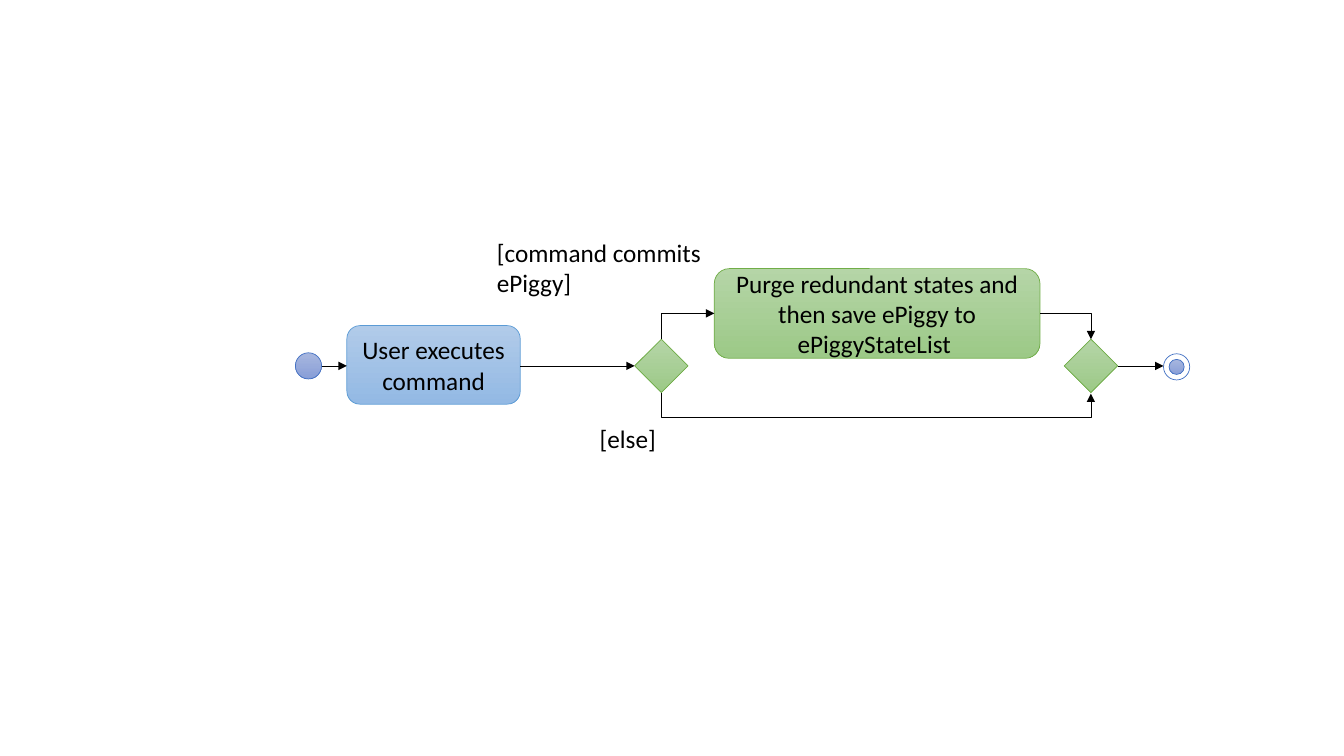
import math

import pptx
import pptx.dml.color
import pptx.enum.shapes
import pptx.enum.text
import pptx.oxml
import pptx.oxml.ns
import pptx.util

COLORS = {
    "text": "000000",
    "arrow": "000000",
    "paper": "FFFFFF",
    "node": ("A8B7DF", "889ED7", "4472C4"),  # top, bottom, outline
    "action": ("B1CBE9", "93B9E4", "5B9BD5"),
    "choice": ("B5D5A7", "9CC987", "70AD47"),
}
SHAPES = pptx.enum.shapes.MSO_SHAPE
CONNECTORS = pptx.enum.shapes.MSO_CONNECTOR
rgb = pptx.dml.color.RGBColor.from_string

presentation = pptx.Presentation()
presentation.slide_width = pptx.util.Inches(13.33)
presentation.slide_height = pptx.util.Inches(7.5)
slide = presentation.slides.add_slide(presentation.slide_layouts[6])

# Grid of square cells, 75 rows to the slide's height
CELL = presentation.slide_height / 75
AXIS = 36.3  # row on which the flow runs
UPPER = 31.1  # row of the upper branch
START, USER, SPLIT, PURGE, MERGE, END = 30.6, 43, 65.6, 87, 108.2, 116.7
DIAMOND, DOT, USER_WIDTH, PURGE_WIDTH = 5.3, 2.6, 17.2, 32.3
BRANCH_DROP = 2.5  # rows from the diamonds down to the [else] line


def write(shape, text, alignment):
    """Put one run of black 18 pt Calibri into a shape."""
    shape.text_frame.word_wrap = True
    paragraph = shape.text_frame.paragraphs[0]
    paragraph.alignment = alignment
    run = paragraph.add_run()
    run.text = text
    run.font.name = "Calibri"
    run.font.size = pptx.util.Pt(18)
    run.font.color.rgb = rgb(COLORS["text"])


def add_arrow(start, end, preset, turn=0):
    """Add an arrow between two grid points, its frame turned by degrees."""
    middle = [(a + b) / 2 for a, b in zip(start, end)]
    cosine, sine = math.cos(math.radians(turn)), math.sin(math.radians(turn))
    lengths = []
    for column, row in (start, end):
        x, y = column - middle[0], row - middle[1]
        lengths.append(round((middle[0] + x * cosine + y * sine) * CELL))
        lengths.append(round((middle[1] - x * sine + y * cosine) * CELL))
    kind = CONNECTORS.STRAIGHT if preset == "line" else CONNECTORS.ELBOW
    connector = slide.shapes.add_connector(kind, *lengths)
    connector.line.width = pptx.util.Pt(0.5)
    connector.line.color.rgb = rgb(COLORS["arrow"])
    properties = connector._element.spPr
    properties.find(pptx.oxml.ns.qn("a:prstGeom")).set("prst", preset)
    if turn:
        properties.find(pptx.oxml.ns.qn("a:xfrm")).set("rot", str(turn * 60000))
    line = properties.find(pptx.oxml.ns.qn("a:ln"))
    namespace = pptx.oxml.ns.nsdecls("a")
    line.append(pptx.oxml.parse_xml(f'<a:tailEnd {namespace} type="triangle"/>'))
    properties.append(pptx.oxml.parse_xml(f"<a:effectLst {namespace}/>"))
    return connector


# Nodes: preset, centre column, centre row, width, height, colours, filled, text
nodes = [
    (SHAPES.OVAL, START, AXIS, DOT, DOT, "node", True, ""),
    (SHAPES.ROUNDED_RECTANGLE, USER, AXIS - 0.1, USER_WIDTH, 7.8, "action", True,
     "User executes command"),
    (SHAPES.DIAMOND, SPLIT, AXIS, DIAMOND, DIAMOND, "choice", True, ""),
    (SHAPES.ROUNDED_RECTANGLE, PURGE, UPPER, PURGE_WIDTH, 8.9, "choice", True,
     "Purge redundant states and then save ePiggy to ePiggyStateList "),
    (SHAPES.DIAMOND, MERGE, AXIS, DIAMOND, DIAMOND, "choice", True, ""),
    (SHAPES.OVAL, END, AXIS + 0.1, DOT, DOT, "node", False, ""),
    (SHAPES.OVAL, END, AXIS + 0.1, 1.5, 1.5, "node", True, ""),
]
for preset, column, row, width, height, color, filled, text in nodes:
    frame = (column - width / 2, row - height / 2, width, height)
    shape = slide.shapes.add_shape(preset, *[round(part * CELL) for part in frame])
    shape.shadow.inherit = False
    top, bottom, outline = COLORS[color]
    if filled:
        shape.fill.gradient()
        shape.fill.gradient_angle = 270
        for stop, shade in zip(shape.fill.gradient_stops, (top, bottom)):
            stop.color.rgb = rgb(shade)
    else:
        shape.fill.solid()
        shape.fill.fore_color.rgb = rgb(COLORS["paper"])
    shape.line.color.rgb = rgb(outline)
    shape.line.width = pptx.util.Pt(0.5)
    if text:
        shape.text_frame.vertical_anchor = pptx.enum.text.MSO_ANCHOR.MIDDLE
        write(shape, text, pptx.enum.text.PP_ALIGN.CENTER)

# Guard labels of the two branches
for text, frame in (
    ("[command commits ePiggy]", (48.3, 23, 22.6, 7.1)),
    ("[else]", (58.5, 41.5, 9.3, 4)),
):
    label = slide.shapes.add_textbox(*[round(part * CELL) for part in frame])
    write(label, text, pptx.enum.text.PP_ALIGN.LEFT)
    label.text_frame.auto_size = pptx.enum.text.MSO_AUTO_SIZE.SHAPE_TO_FIT_TEXT

# Straight arrows along the axis
for left, right in (
    (START + DOT / 2, USER - USER_WIDTH / 2),
    (USER + USER_WIDTH / 2, SPLIT - DIAMOND / 2),
    (MERGE + DIAMOND / 2, END - DOT / 2),
):
    add_arrow((left, AXIS), (right, AXIS), "line")

# Upper branch, then the [else] branch that dips below both diamonds
top, bottom = AXIS - DIAMOND / 2, AXIS + DIAMOND / 2
add_arrow((SPLIT, top), (PURGE - PURGE_WIDTH / 2, UPPER), "bentConnector2", 90)
add_arrow((PURGE + PURGE_WIDTH / 2, UPPER), (MERGE, top), "bentConnector2")
thickness = 0.1  # the bend is a multiple of the frame's thickness
bypass = add_arrow((SPLIT, bottom), (MERGE, bottom + thickness), "bentConnector3", 270)
geometry = bypass._element.spPr.find(pptx.oxml.ns.qn("a:prstGeom"))
guides = geometry.get_or_add_avLst()
guide = pptx.oxml.parse_xml(f'<a:gd {pptx.oxml.ns.nsdecls("a")} name="adj1"/>')
guide.set("fmla", f"val {round(BRANCH_DROP / thickness * 100000)}")
guides.append(guide)

presentation.save("out.pptx")
